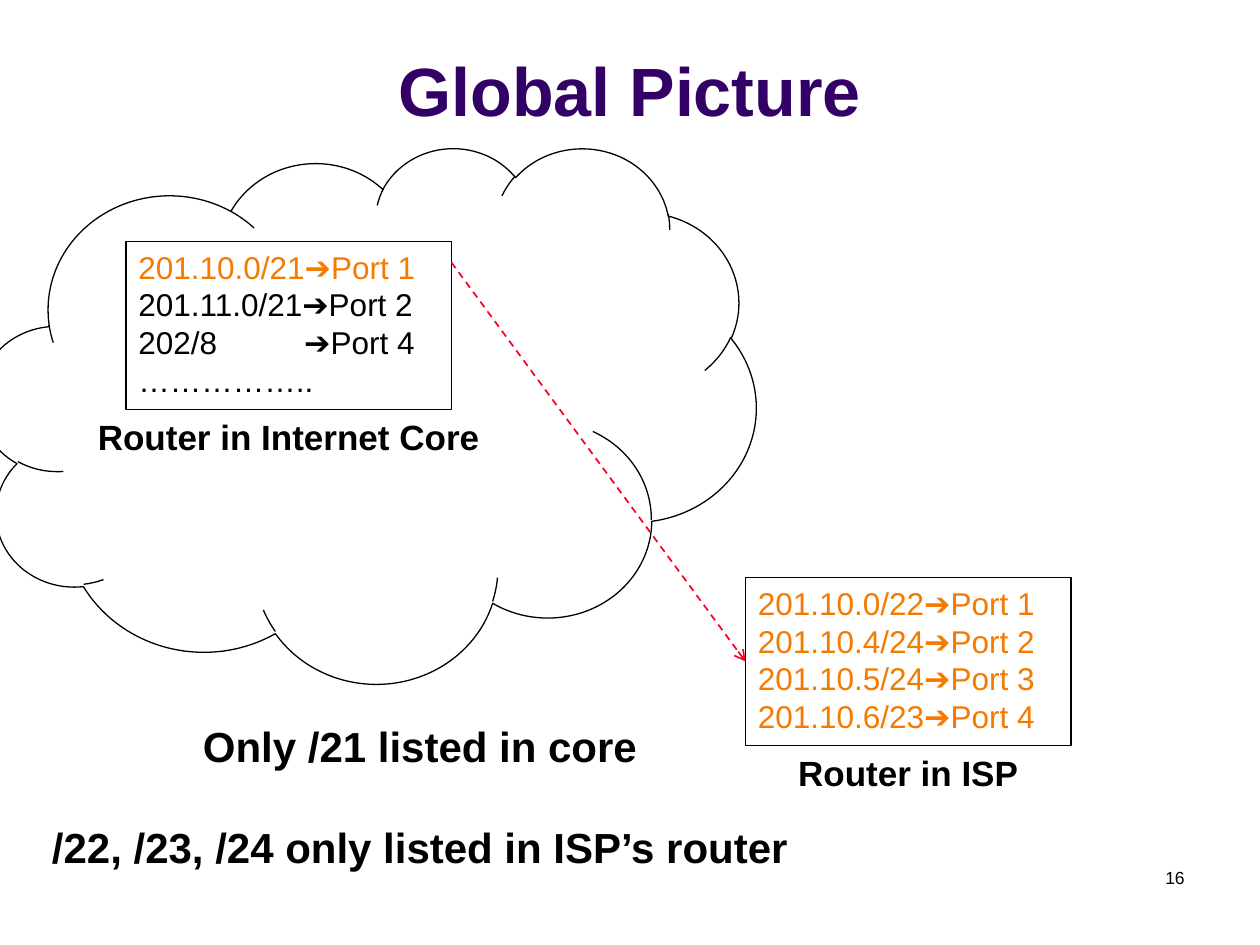
from dataclasses import dataclass

from lxml import etree
from pptx import Presentation
from pptx import util as u
from pptx.dml.color import RGBColor
from pptx.enum import dml, shapes, text
from pptx.oxml import ns

SCALE = 7620


@dataclass(frozen=True)
class Theme:
    font: str = "Arial"
    title: str = "330066"
    ink: str = "000000"
    accent: str = "F47A00"
    link: str = "FC0128"
    title_size: int = 39
    note_size: int = 24
    label_size: int = 20
    entry_size: int = 18
    number_size: int = 10


THEME = Theme()


def px(*lengths):
    return [u.Emu(length * SCALE) for length in lengths]


def style(para, size, color=THEME.ink, bold=False, align=text.PP_ALIGN.LEFT):
    para.alignment = align
    for span in para.runs:
        span.font.name = THEME.font
        span.font.size = u.Pt(size)
        span.font.bold = bold
        span.font.color.rgb = RGBColor.from_string(color)


def add_outline(page, kind, box):
    shape = page.shapes.add_shape(kind, *px(*box))
    shape.shadow.inherit = False
    shape.fill.background()
    shape.line.color.rgb = RGBColor.from_string(THEME.ink)
    shape.line.width = u.Pt(0.75)
    return shape


def add_text(page, box, words, size, bold=True, align=text.PP_ALIGN.CENTER):
    frame = page.shapes.add_textbox(*px(*box)).text_frame
    frame.word_wrap = True
    frame.text = words
    for para in frame.paragraphs:
        style(para, size, bold=bold, align=align)
    return frame


def add_title(page, box, words):
    title = page.shapes.title
    title.left, title.top, title.width, title.height = px(*box)
    frame = title.text_frame
    frame.text = words
    frame.vertical_anchor = text.MSO_ANCHOR.BOTTOM
    style(frame.paragraphs[0], THEME.title_size, THEME.title, True, text.PP_ALIGN.CENTER)


def add_tab_stop(para, position):
    tabs = etree.SubElement(para._p.get_or_add_pPr(), ns.qn("a:tabLst"))
    etree.SubElement(tabs, ns.qn("a:tab"), pos=str(px(position)[0]), algn="l")


def add_router(page, box, name, entries):
    left, top, width, height = box
    table = add_outline(page, shapes.MSO_SHAPE.RECTANGLE, box)
    frame = table.text_frame
    frame.vertical_anchor = text.MSO_ANCHOR.TOP
    frame.text = "\n".join(words for words, _ in entries)
    for para, (_, color) in zip(frame.paragraphs, entries):
        style(para, THEME.entry_size, color)
        if "\t" in para.text:
            add_tab_stop(para, 158)
    add_text(page, (left - 50, top + height, width + 100, 53), name, THEME.label_size)
    return table


def add_delegation(page, start, router):
    line = page.shapes.add_connector(shapes.MSO_CONNECTOR.STRAIGHT, *px(*start, *start))
    line.end_connect(router, 1)
    line.line.color.rgb = RGBColor.from_string(THEME.link)
    line.line.width = u.Pt(1)
    line.line.dash_style = dml.MSO_LINE.DASH
    etree.SubElement(line.line._get_or_add_ln(), ns.qn("a:tailEnd"), type="arrow")
    etree.SubElement(line._element.spPr, ns.qn("a:effectLst"))


def add_notes(page, box, notes):
    frame = add_text(page, box, "\n".join(notes), THEME.note_size)
    for para in frame.paragraphs[1:]:
        para.space_before = u.Pt(29)


def main():
    deck = Presentation()
    deck.slide_width, deck.slide_height = px(1200, 900)
    page = deck.slides.add_slide(deck.slide_layouts[5])

    add_title(page, (0, 15, 1200, 115), "Global Picture")
    add_text(page, (860, 820, 280, 60), "16", THEME.number_size, False, text.PP_ALIGN.RIGHT)
    add_outline(page, shapes.MSO_SHAPE.CLOUD, (-20, 140, 740, 510))
    add_router(page, (120, 230, 310, 160), "Router in Internet Core", [
        ("201.10.0/21➔Port 1", THEME.accent),
        ("201.11.0/21➔Port 2", THEME.ink),
        ("202/8\t➔Port 4", THEME.ink),
        ("……………..", THEME.ink),
    ])
    isp = add_router(page, (710, 550, 310, 160), "Router in ISP", [
        (words, THEME.accent) for words in (
            "201.10.0/22➔Port 1",
            "201.10.4/24➔Port 2",
            "201.10.5/24➔Port 3",
            "201.10.6/23➔Port 4",
        )
    ])
    add_delegation(page, (430, 250), isp)
    add_notes(page, (30, 680, 740, 157), [
        "Only /21 listed in core",
        "/22, /23, /24 only listed in ISP’s router",
    ])
    deck.save("out.pptx")


if __name__ == "__main__":
    main()
